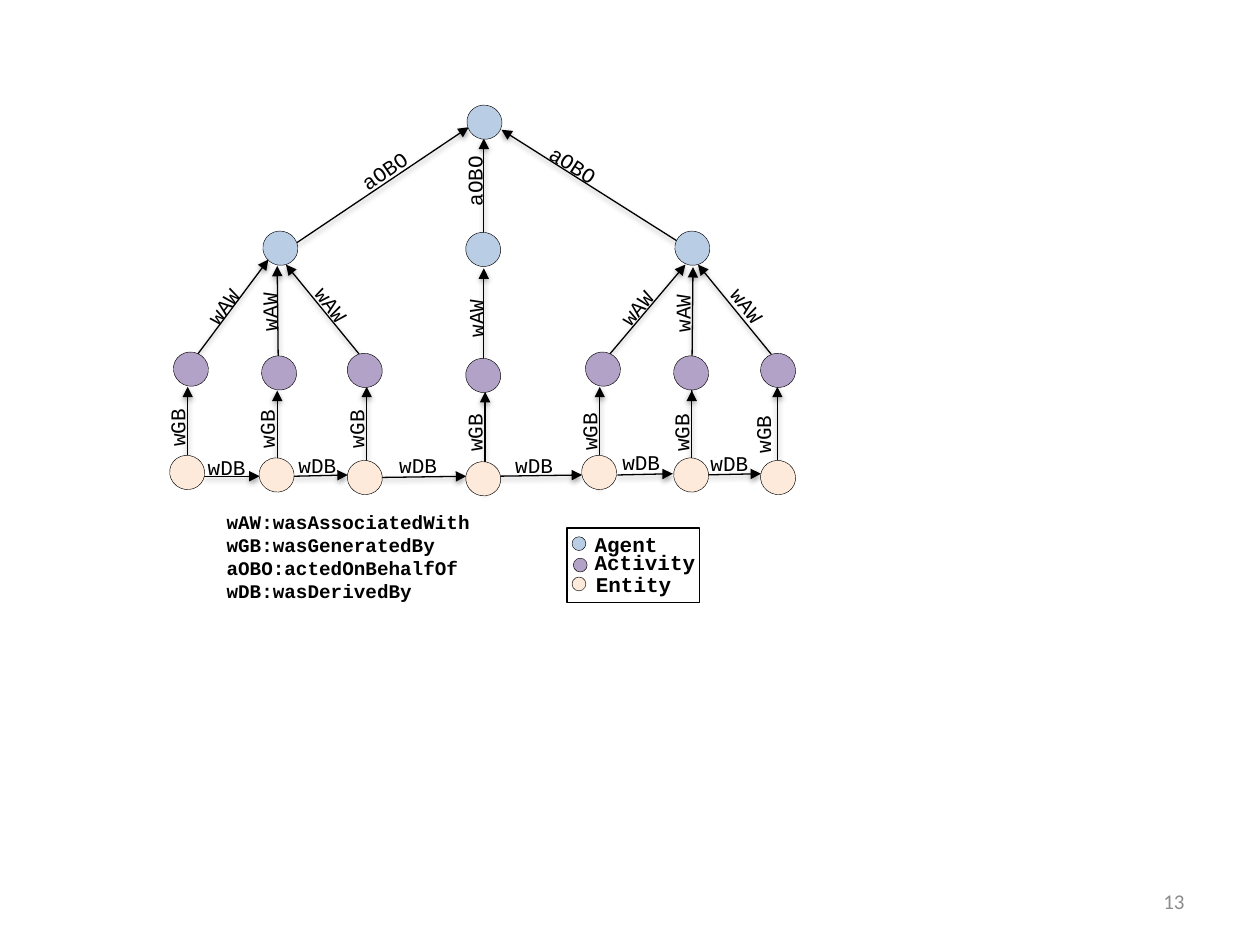
import lxml.etree
import pptx
import pptx.dml.color
import pptx.enum.shapes
import pptx.enum.text
import pptx.oxml
import pptx.oxml.ns
import pptx.util

Inches = pptx.util.Inches
Pt = pptx.util.Pt
SHAPE = pptx.enum.shapes.MSO_SHAPE
ALIGN = pptx.enum.text.PP_ALIGN
ANCHOR = pptx.enum.text.MSO_ANCHOR
FIT = pptx.enum.text.MSO_AUTO_SIZE

BLACK, WHITE, GREY = "000000", "FFFFFF", "8C8C8C"
BLUE, PURPLE, PEACH = "B9CDE5", "B3A2C7", "FDEADA"

NODES = [
    (BLUE, 114.6, [(3.71, 0.83), (2.09, 1.83), (3.7, 1.84), (5.36, 1.83)]),
    (PURPLE, 114.6, [(1.38, 2.79), (2.08, 2.82), (2.76, 2.8), (3.7, 2.84),
                     (4.65, 2.79), (5.35, 2.82), (6.04, 2.8)]),
    (PEACH, 114.1, [(1.35, 3.61), (2.06, 3.63), (2.76, 3.65), (3.7, 3.66),
                    (4.62, 3.61), (5.35, 3.63), (6.04, 3.65)]),
]

# name: width, [(start, end, label corner, label angle)]
EDGES = {
    "aOBO": (0.61, [
        ((2.35, 1.93), (3.72, 1.01), (2.75, 1.2), 325.3),
        ((3.84, 2.04), (3.84, 1.1), (3.46, 1.28), 270),
        ((5.37, 1.91), (3.98, 1.03), (4.25, 1.16), 32.5),
    ]),
    "wAW": (0.51, [
        ((1.57, 2.81), (2.13, 2.06), (1.52, 2.28), 307.8),
        ((2.21, 3.02), (2.2, 2.11), (1.88, 2.32), 270),
        ((2.85, 2.81), (2.27, 2.1), (2.38, 2.27), 53),
        ((3.84, 3.07), (3.84, 2.13), (3.52, 2.37), 270),
        ((4.84, 2.81), (5.44, 2.1), (4.8, 2.29), 310.1),
        ((5.49, 3.11), (5.5, 2.12), (5.16, 2.33), 270),
        ((6.12, 2.81), (5.54, 2.1), (5.68, 2.28), 52.3),
    ]),
    "wGB": (0.51, [
        ((1.49, 3.74), (1.49, 3.07), (1.15, 3.24), 270),
        ((2.2, 3.81), (2.2, 3.1), (1.86, 3.25), 270),
        ((2.91, 3.84), (2.91, 3.07), (2.57, 3.25), 270),
        ((3.85, 3.92), (3.85, 3.11), (3.51, 3.28), 270),
        ((4.76, 3.87), (4.76, 3.07), (4.42, 3.27), 270),
        ((5.49, 3.87), (5.49, 3.1), (5.15, 3.28), 270),
        ((6.17, 3.81), (6.17, 3.07), (5.8, 3.29), 270),
    ]),
    "wDB": (0.51, [
        ((1.62, 3.78), (2.06, 3.78), (1.55, 3.56), 0),
        ((2.32, 3.78), (2.76, 3.77), (2.27, 3.54), 0),
        ((2.99, 3.79), (3.7, 3.78), (3.07, 3.54), 0),
        ((3.91, 3.78), (4.62, 3.77), (3.99, 3.54), 0),
        ((4.9, 3.77), (5.34, 3.76), (4.84, 3.52), 0),
        ((5.56, 3.77), (6.04, 3.76), (5.54, 3.53), 0),
    ]),
}

TERMS = ["wAW:wasAssociatedWith", "wGB:wasGeneratedBy",
         "aOBO:actedOnBehalfOf", "wDB:wasDerivedBy"]

LEGEND = [
    ("Agent", BLUE, (4.54, 4.26), (4.62, 4.17)),
    ("Activity", PURPLE, (4.55, 4.43), (4.62, 4.31)),
    ("Entity", PEACH, (4.54, 4.58), (4.63, 4.49)),
]

SHADOW = """<a:effectLst %s><a:outerShdw blurRad="40000" dist="20000"
 dir="5400000" rotWithShape="0"><a:srgbClr val="000000"><a:alpha val="38000"/>
</a:srgbClr></a:outerShdw></a:effectLst>""" % pptx.oxml.ns.nsdecls("a")


def tint(form, code):
    form.rgb = pptx.dml.color.RGBColor.from_string(code)


def shape(slide, kind, spot, size, fill, width, angle=0):
    item = slide.shapes.add_shape(kind, *map(Inches, (*spot, *size)))
    item.rotation = angle
    item.shadow.inherit = False
    item.fill.solid()
    tint(item.fill.fore_color, fill)
    tint(item.line.color, BLACK)
    item.line.width = Pt(width)


def node(slide, spot, fill, size=(0.27, 0.28), angle=0):
    shape(slide, SHAPE.OVAL, spot, size, fill, 0.25, angle)


def arrow(slide, start, end):
    item = slide.shapes.add_connector(
        pptx.enum.shapes.MSO_CONNECTOR.STRAIGHT, *map(Inches, (*start, *end)))
    tint(item.line.color, BLACK)
    item.line.width = Pt(0.75)
    line = item.line._get_or_add_ln()
    lxml.etree.SubElement(line, pptx.oxml.ns.qn("a:tailEnd"), type="triangle")
    item._element.spPr.append(pptx.oxml.parse_xml(SHADOW))


def label(slide, text, spot, size, points=12, bold=False, wrap=True,
          angle=0, font="Courier New", color=BLACK):
    item = slide.shapes.add_textbox(*map(Inches, (*spot, *size)))
    item.rotation = angle
    frame = item.text_frame
    frame.word_wrap = wrap
    frame.auto_size = FIT.SHAPE_TO_FIT_TEXT
    frame.text = text
    for para in frame.paragraphs:
        for run in para.runs:
            run.font.name = font
            run.font.size = Pt(points)
            run.font.bold = bold
            tint(run.font.color, color)
    return frame


def graph(slide):
    for width, links in EDGES.values():
        for start, end, spot, angle in links:
            arrow(slide, start, end)
    for fill, angle, spots in NODES:
        for spot in spots:
            node(slide, spot, fill, angle=angle)
    for name, (width, links) in EDGES.items():
        for start, end, spot, angle in links:
            label(slide, name, spot, (width, 0.3), wrap=False, angle=angle)


def legend(slide):
    shape(slide, SHAPE.RECTANGLE, (4.5, 4.19), (1.05, 0.59), WHITE, 0.75)
    for name, fill, dot, spot in LEGEND:
        node(slide, dot, fill, (0.11, 0.11))
        label(slide, name, spot, (1.71, 0.3), bold=True)


def number(slide):
    frame = label(slide, "13", (7.17, 6.95), (2.33, 0.4),
                  font="Calibri", color=GREY)
    frame.auto_size = FIT.NONE
    frame.vertical_anchor = ANCHOR.MIDDLE
    frame.paragraphs[0].alignment = ALIGN.RIGHT


def main():
    deck = pptx.Presentation()
    deck.slide_width, deck.slide_height = Inches(10), Inches(7.5)
    slide = deck.slides.add_slide(deck.slide_layouts[6])
    graph(slide)
    legend(slide)
    label(slide, "\n".join(TERMS), (1.7, 4), (2.8, 0.84), 11, True)
    number(slide)
    deck.save("out.pptx")


if __name__ == "__main__":
    main()
